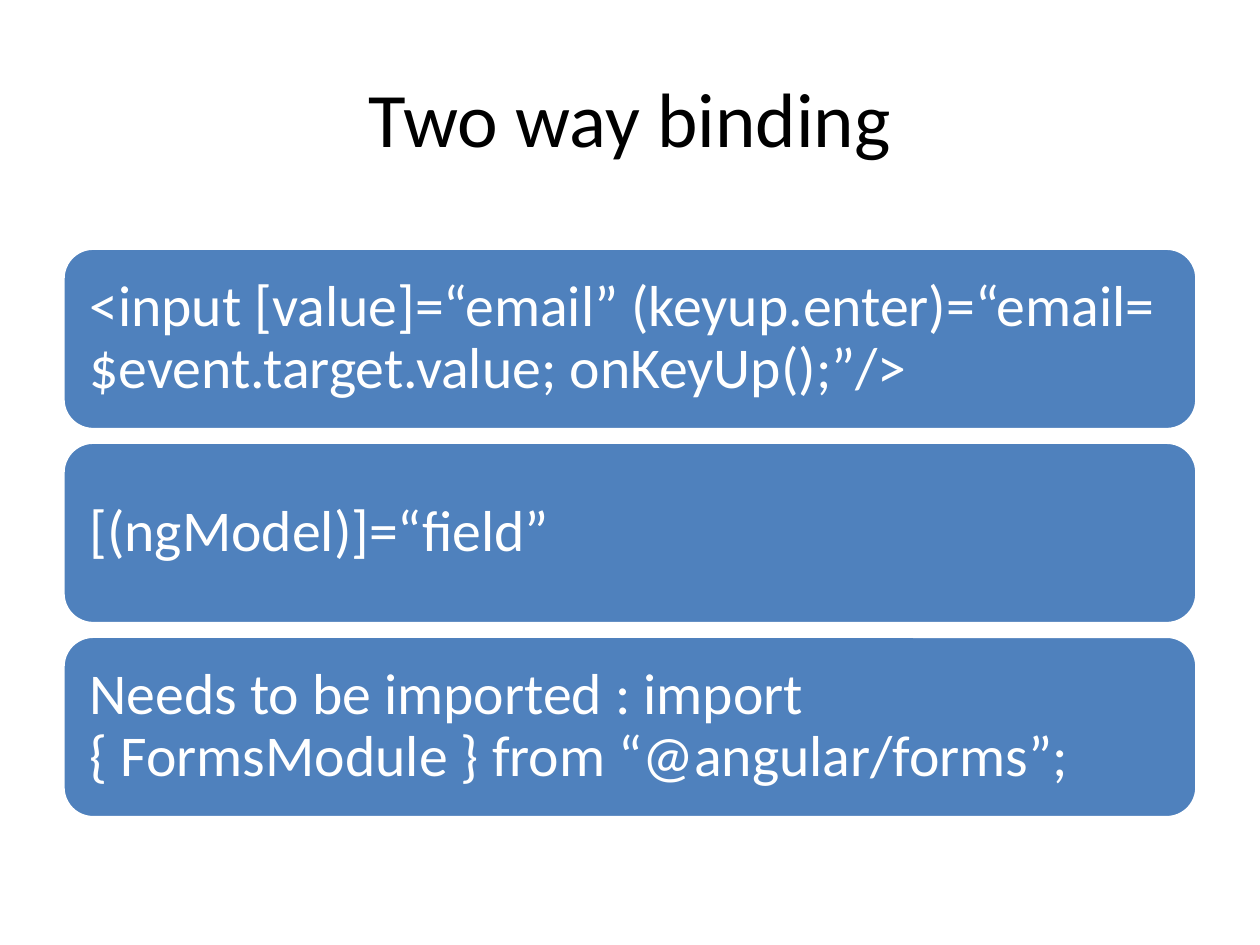
from pptx import Presentation
from pptx.dml.color import RGBColor
from pptx.enum.shapes import MSO_SHAPE
from pptx.enum.text import MSO_ANCHOR, PP_ALIGN
from pptx.util import Inches, Pt

COLORS = {"title": "000000", "card": "4F81BD", "light": "FFFFFF"}

MARGIN = 0.5
CONTENT_WIDTH = 9
FIRST_CARD_TOP = 1.97
CARD_HEIGHT = 1.44
CARD_GAP = 0.1

CARD_TEXTS = [
    "<input [value]=“email” (keyup.enter)=“email= $event.target.value; onKeyUp();”/>",
    "[(ngModel)]=“field”",
    "Needs to be imported : import { FormsModule } from “@angular/forms”;",
]


class SlideBuilder:
    font_name = "Calibri"
    title_size = 44
    card_size = 33

    def __init__(self, presentation):
        title_only = presentation.slide_layouts[5]
        self.slide = presentation.slides.add_slide(title_only)

    def color(self, name):
        return RGBColor.from_string(COLORS[name])

    def add_text(self, shape, text, size, color, alignment):
        frame = shape.text_frame
        frame.word_wrap = True
        frame.vertical_anchor = MSO_ANCHOR.MIDDLE
        paragraph = frame.paragraphs[0]
        paragraph.alignment = alignment
        run = paragraph.add_run()
        run.text = text
        run.font.name = self.font_name
        run.font.size = Pt(size)
        run.font.color.rgb = self.color(color)
        return paragraph

    def title(self, text):
        title = self.slide.shapes.title
        title.left, title.top = Inches(MARGIN), Inches(0.3)
        title.width, title.height = Inches(CONTENT_WIDTH), Inches(1.25)
        self.add_text(title, text, self.title_size, "title", PP_ALIGN.CENTER)

    def card(self, row, text):
        top = FIRST_CARD_TOP + row * (CARD_HEIGHT + CARD_GAP)
        card = self.slide.shapes.add_shape(
            MSO_SHAPE.ROUNDED_RECTANGLE,
            Inches(MARGIN), Inches(top), Inches(CONTENT_WIDTH), Inches(CARD_HEIGHT),
        )
        card.shadow.inherit = False
        card.fill.solid()
        card.fill.fore_color.rgb = self.color("card")
        card.line.color.rgb = self.color("light")
        card.line.width = Pt(2)
        frame = card.text_frame
        frame.margin_left = frame.margin_right = Inches(0.14)
        frame.margin_top = frame.margin_bottom = Inches(0.14)
        paragraph = self.add_text(card, text, self.card_size, "light", PP_ALIGN.LEFT)
        paragraph.line_spacing = 0.9


def main():
    presentation = Presentation()
    presentation.slide_width = Inches(10)
    presentation.slide_height = Inches(7.5)
    builder = SlideBuilder(presentation)
    builder.title("Two way binding")
    for row, text in enumerate(CARD_TEXTS):
        builder.card(row, text)
    presentation.save("out.pptx")


if __name__ == "__main__":
    main()
